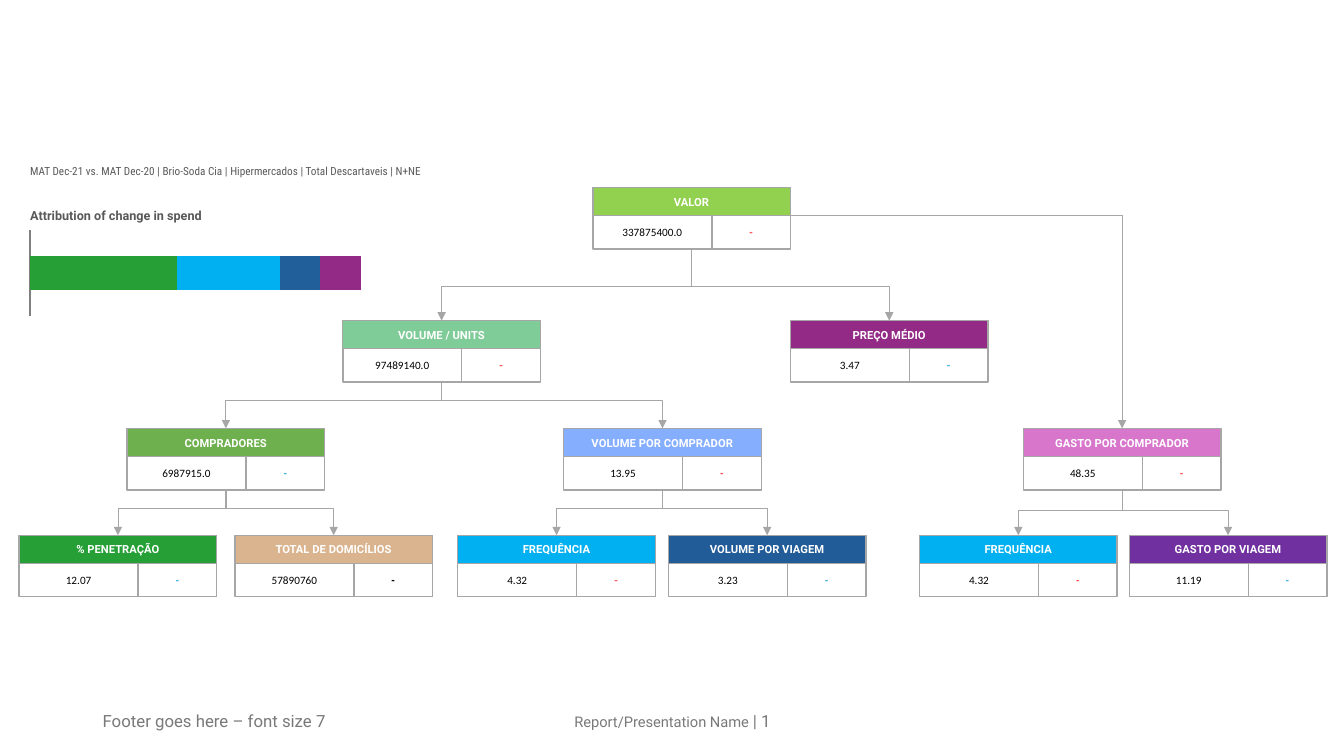
import pptx
import pptx.chart.data
import pptx.enum.chart
import pptx.enum.shapes
import pptx.enum.text
import pptx.oxml
import pptx.oxml.ns
import pptx.util

CELL = pptx.util.Inches(0.01)
COLUMNS, ROWS = 1333, 750
CARD_WIDTH, VALUE_WIDTH, HEAD_HEIGHT, VALUE_HEIGHT = 196, 118, 28, 33
LEVELS = [186, 318, 425, 531]
GREY = "A6A6A6"
RED, BLUE, BLACK = "FF5757", "44B3E1", "000000"
MIDDLE = pptx.enum.text.MSO_ANCHOR.MIDDLE
TOP = pptx.enum.text.MSO_ANCHOR.TOP
LEFT = pptx.enum.text.PP_ALIGN.LEFT
CENTER = pptx.enum.text.PP_ALIGN.CENTER
DRAWING = pptx.oxml.ns.nsdecls("a")
CHART = pptx.oxml.ns.nsdecls("c")


def paint(fill, color):
    fill.solid()
    fill.fore_color.rgb = pptx.dml.color.RGBColor.from_string(color)


def write(frame, runs, font_name, color, bold=False, align=CENTER, anchor=MIDDLE):
    frame.word_wrap = True
    frame.vertical_anchor = anchor
    paragraph = frame.paragraphs[0]
    paragraph.alignment = align
    for words, size in runs:
        run = paragraph.add_run()
        run.text = words
        for key, value in {"name": font_name, "size": pptx.util.Pt(size), "bold": bold}.items():
            setattr(run.font, key, value)
        paint(run.font.fill, color)


deck = pptx.Presentation()
deck.slide_width = COLUMNS * CELL
deck.slide_height = ROWS * CELL
slide = deck.slides.add_slide(deck.slide_layouts[6])

footers = [
    (92, 300, LEFT, [("Footer goes here – font size 7", 12)]),
    (442, 450, CENTER, [("Report/Presentation Name ", 10.5), ("| 1", 12)]),
]
for column, width, align, runs in footers:
    footer = slide.shapes.add_textbox(column * CELL, 695 * CELL, width * CELL, 40 * CELL)
    write(footer.text_frame, runs, "Roboto", "797979", align=align)

contributions = [
    ("Series 1", -44, "259F36"),
    ("Series 2", 31, "00B0F0"),
    ("Series 3", -12, "215F9A"),
    ("Series 4", -12, "922A86"),
]
attribution_data = pptx.chart.data.CategoryChartData()
attribution_data.categories = ["1"]
for name, share, color in contributions:
    attribution_data.add_series(name, [share])
attribution = slide.shapes.add_chart(
    pptx.enum.chart.XL_CHART_TYPE.BAR_STACKED_100,
    17 * CELL, 198 * CELL, 353 * CELL, 137 * CELL, attribution_data,
).chart
attribution.has_legend = False
attribution.font.name = "Roboto"
attribution.font.size = pptx.util.Pt(9)
paint(attribution.font.fill, BLACK)
attribution.has_title = True
write(attribution.chart_title.text_frame, [("Attribution of change in spend", 9)],
      "Roboto", "595959", bold=True, align=LEFT)

bars = attribution.plots[0]
for key, value in {"gap_width": 150, "overlap": 100, "vary_by_categories": False}.items():
    setattr(bars, key, value)
for series, (name, share, color) in zip(bars.series, contributions):
    series.invert_if_negative = False
    paint(series.format.fill, color)

no_ticks = pptx.enum.chart.XL_TICK_MARK.NONE
baseline = attribution.category_axis
for key, value in {
    "major_tick_mark": no_ticks,
    "minor_tick_mark": no_ticks,
    "tick_label_position": pptx.enum.chart.XL_TICK_LABEL_POSITION.NONE,
    "has_major_gridlines": False,
}.items():
    setattr(baseline, key, value)
baseline.format.line.width = pptx.util.Pt(1.5)
paint(baseline.format.line.fill, "808080")
for key, value in {
    "minimum_scale": 0, "maximum_scale": 1, "has_major_gridlines": False, "visible": False,
}.items():
    setattr(attribution.value_axis, key, value)
attribution.value_axis.tick_labels.number_format = "0%"
attribution.value_axis.tick_labels.number_format_is_linked = False

plot_area = attribution.element.xpath("c:chart/c:plotArea")[0]
placements = [
    (plot_area, 0, [("layoutTarget", "inner"), ("xMode", "edge"), ("yMode", "edge"),
                    ("x", 0.035), ("y", 0.219), ("w", 0.93), ("h", 0.625)]),
    (attribution.chart_title.element, 1,
     [("xMode", "edge"), ("yMode", "edge"), ("x", 0.03), ("y", 0.04)]),
]
for part, position, settings in placements:
    for automatic in part.xpath("c:layout"):
        part.remove(automatic)
    entries = "".join(f'<c:{key} val="{value}"/>' for key, value in settings)
    part.insert(position, pptx.oxml.parse_xml(
        f"<c:layout {CHART}><c:manualLayout>{entries}</c:manualLayout></c:layout>"))

cards = {
    "units": (340, 1, "VOLUME / UNITS", "80CC98", "97489140.0", RED),
    "price": (784, 1, "PREÇO MÉDIO", "922A86", "3.47", BLUE),
    "buyers": (126, 2, "COMPRADORES", "6FB04E", "6987915.0", BLUE),
    "volume per buyer": (559, 2, "VOLUME POR COMPRADOR", "85AEFF", "13.95", RED),
    "households": (233, 3, "TOTAL DE DOMICÍLIOS", "DAB48E", "57890760", BLACK),
    "penetration": (19, 3, "% PENETRAÇÃO", "259F36", "12.07", BLUE),
    "volume per trip": (663, 3, "VOLUME POR VIAGEM", "215C98", "3.23", BLUE),
    "volume frequency": (454, 3, "FREQUÊNCIA", "00B0F0", "4.32", RED),
    "spend per trip": (1120, 3, "GASTO POR VIAGEM", "7030A0", "11.19", BLUE),
    "spend frequency": (912, 3, "FREQUÊNCIA", "00B0F0", "4.32", RED),
    "spend per buyer": (1015, 2, "GASTO POR COMPRADOR", "D876CC", "48.35", RED),
    "value": (588, 0, "VALOR", "92D050", "337875400.0", RED),
}
branches = [
    ("value", "price", 67000),
    ("value", "units", 67000),
    ("units", "buyers", 65200),
    ("units", "volume per buyer", 65200),
    ("value", "spend per buyer", None),
    ("spend per buyer", "spend frequency", 68600),
    ("spend per buyer", "spend per trip", 68600),
    ("buyers", "penetration", 65400),
    ("buyers", "households", 65400),
    ("volume per buyer", "volume frequency", 65400),
    ("volume per buyer", "volume per trip", 65400),
]
for parent, child, bend in branches:
    start_x = cards[parent][0] + CARD_WIDTH / 2
    end_x = cards[child][0] + CARD_WIDTH / 2
    start_y = LEVELS[cards[parent][1]] + HEAD_HEIGHT
    end_y = LEVELS[cards[child][1]]
    ends = [start_x, start_y, end_x, end_y]
    if bend:
        middle_x, middle_y = (start_x + end_x) / 2, (start_y + end_y) / 2
        half_run, half_drop = abs(end_x - start_x) / 2, (end_y - start_y) / 2
        side = 1 if end_x > start_x else -1
        ends = [middle_x + side * half_drop, middle_y - half_run,
                middle_x - side * half_drop, middle_y + half_run]
    branch = slide.shapes.add_connector(
        pptx.enum.shapes.MSO_CONNECTOR.ELBOW, *[int(end * CELL) for end in ends])
    branch.line.width = pptx.util.Pt(0.5)
    paint(branch.line.fill, GREY)
    properties = branch.element.spPr
    outline = properties.xpath("a:ln")[0]
    outline.append(pptx.oxml.parse_xml(f'<a:tailEnd {DRAWING} type="triangle"/>'))
    properties.append(pptx.oxml.parse_xml(f"<a:effectLst {DRAWING}/>"))
    geometry = properties.xpath("a:prstGeom")[0]
    if bend:
        properties.xpath("a:xfrm")[0].set("rot", str((270 if side > 0 else 90) * 60000))
        for guides in geometry.xpath("a:avLst"):
            geometry.remove(guides)
        geometry.append(pptx.oxml.parse_xml(
            f'<a:avLst {DRAWING}><a:gd name="adj1" fmla="val {bend}"/></a:avLst>'))
    else:
        geometry.set("prst", "bentConnector2")

for column, level, heading, color, amount, change_color in cards.values():
    top = LEVELS[level]
    below = top + HEAD_HEIGHT
    cells = [
        (column, top, CARD_WIDTH, HEAD_HEIGHT, color, heading, "Roboto", "FFFFFF", True),
        (column, below, VALUE_WIDTH, VALUE_HEIGHT, "FFFFFF", amount, "Calibri", BLACK, False),
        (column + VALUE_WIDTH, below, CARD_WIDTH - VALUE_WIDTH, VALUE_HEIGHT,
         "FFFFFF", "-", "Roboto Condensed", change_color, True),
    ]
    for x, y, width, height, background, words, font_name, ink, bold in cells:
        cell = slide.shapes.add_shape(
            pptx.enum.shapes.MSO_SHAPE.ROUNDED_RECTANGLE,
            x * CELL, y * CELL, width * CELL, height * CELL)
        cell.adjustments[0] = 0
        cell.shadow.inherit = False
        paint(cell.fill, background)
        paint(cell.line.fill, GREY)
        cell.line.width = pptx.util.Pt(1)
        write(cell.text_frame, [(words, 8)], font_name, ink, bold)

scope = slide.shapes.add_textbox(20 * CELL, 158 * CELL, 436 * CELL, 17 * CELL)
write(scope.text_frame,
      [("MAT Dec-21 vs. MAT Dec-20 | Brio-Soda Cia | Hipermercados | Total Descartaveis | N+NE", 8)],
      "Roboto Condensed", "595959", align=LEFT, anchor=TOP)

deck.save("out.pptx")
